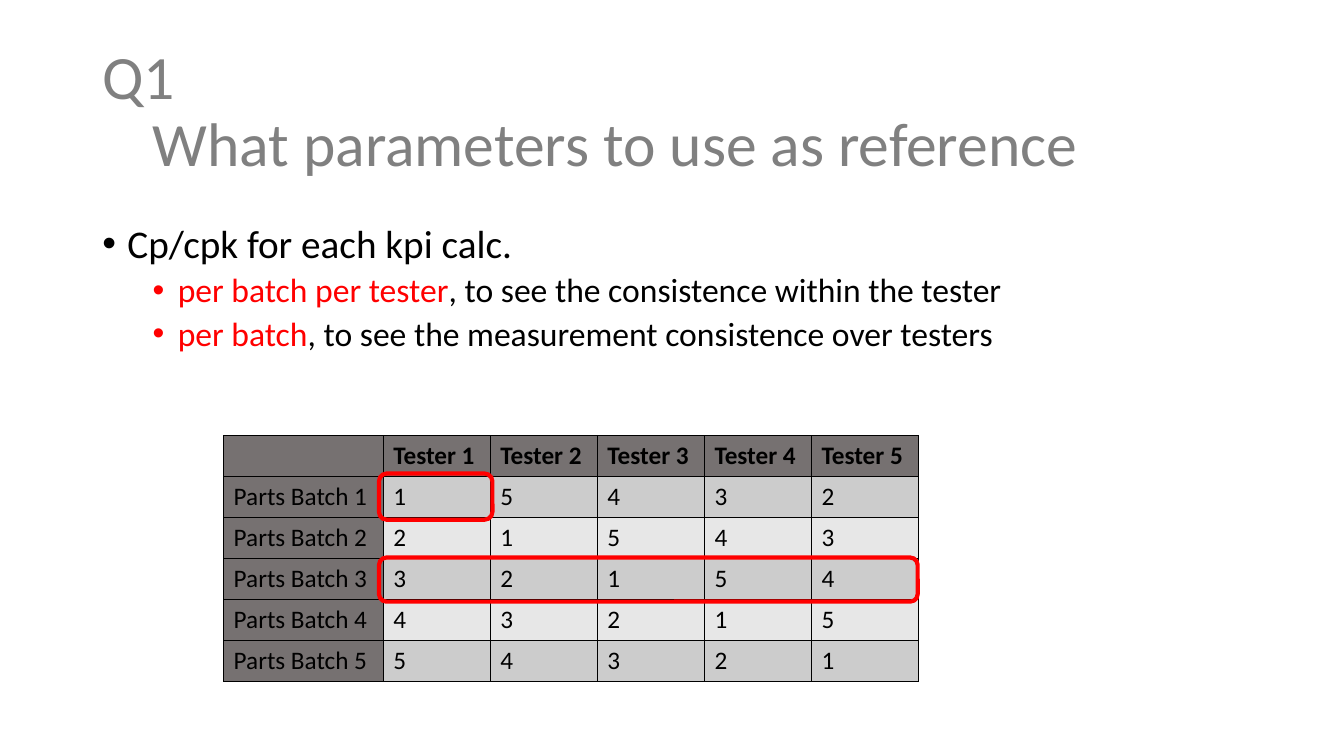
from dataclasses import dataclass

from lxml.etree import SubElement
from pptx import Presentation
from pptx.dml.color import RGBColor
from pptx.enum.shapes import MSO_SHAPE
from pptx.enum.text import MSO_ANCHOR
from pptx.oxml import parse_xml
from pptx.oxml.ns import nsdecls, qn
from pptx.slide import Slide
from pptx.table import _Cell
from pptx.text.text import TextFrame, _Paragraph, _Run
from pptx.util import Emu, Pt

FONT = "Calibri"
BLACK = "000000"
RED = "FF0000"
TITLE_GRAY = "808080"
HEADER_GRAY = "767171"
BAND_COLORS = ("E7E7E7", "CCCCCC")
TESTER_COUNT = 5
BATCH_COUNT = 5
LABEL_WIDTH = 152
TESTER_WIDTH = 102
ROW_HEIGHT = 39


@dataclass(frozen=True)
class Box:
    left: int
    top: int
    width: int
    height: int

    def emu(self) -> tuple[Emu, Emu, Emu, Emu]:
        return px(self.left), px(self.top), px(self.width), px(self.height)


@dataclass(frozen=True)
class Bullet:
    emphasis: str
    text: str
    size: int
    indent: int
    space_before: int
    level: int


TITLE_BOX = Box(88, 38, 1104, 139)
BODY_BOX = Box(88, 209, 1104, 440)
TABLE_BOX = Box(
    213,
    415,
    LABEL_WIDTH + TESTER_COUNT * TESTER_WIDTH,
    (BATCH_COUNT + 1) * ROW_HEIGHT,
)
HIGHLIGHTS = (Box(361, 451, 108, 44), Box(361, 531, 513, 42))
BULLETS = (
    Bullet("", "Cp/cpk for each kpi calc.", 28, 24, 10, 0),
    Bullet("per batch per tester", ", to see the consistence within the tester", 24, 72, 5, 1),
    Bullet("per batch", ", to see the measurement consistence over testers", 24, 72, 5, 1),
)


def px(value: int) -> Emu:
    return Emu(value * 9525)


def color(value: str) -> RGBColor:
    return RGBColor.from_string(value)


def format_run(run: _Run, size: int, hex_color: str, bold: bool = False) -> None:
    run.font.name = FONT
    run.font.size = Pt(size)
    run.font.bold = bold
    run.font.color.rgb = color(hex_color)


def add_text_frame(slide: Slide, box: Box) -> TextFrame:
    text_frame = slide.shapes.add_textbox(*box.emu()).text_frame
    text_frame.word_wrap = True
    return text_frame


def add_title(slide: Slide) -> None:
    text_frame = add_text_frame(slide, TITLE_BOX)
    text_frame.vertical_anchor = MSO_ANCHOR.MIDDLE
    paragraph = text_frame.paragraphs[0]
    paragraph.text = "Q1\v\tWhat parameters to use as reference"
    paragraph.line_spacing = 0.9
    for run in paragraph.runs:
        format_run(run, 44, TITLE_GRAY)


def write_bullet(paragraph: _Paragraph, bullet: Bullet) -> None:
    paragraph.level = bullet.level
    paragraph.line_spacing = 0.9
    paragraph.space_before = Pt(bullet.space_before)
    properties = paragraph._p.get_or_add_pPr()
    properties.set("marL", str(px(bullet.indent)))
    properties.set("indent", str(px(-24)))
    SubElement(properties, qn("a:buFont"), typeface="Arial")
    SubElement(properties, qn("a:buChar"), char="•")
    for text, hex_color in ((bullet.emphasis, RED), (bullet.text, BLACK)):
        if text:
            run = paragraph.add_run()
            run.text = text
            format_run(run, bullet.size, hex_color)


def add_body(slide: Slide) -> None:
    text_frame = add_text_frame(slide, BODY_BOX)
    for index, bullet in enumerate(BULLETS):
        paragraph = text_frame.add_paragraph() if index else text_frame.paragraphs[0]
        write_bullet(paragraph, bullet)


def add_borders(cell: _Cell) -> None:
    properties = cell._tc.get_or_add_tcPr()
    for index, side in enumerate(("lnL", "lnR", "lnT", "lnB")):
        border = parse_xml(
            f'<a:{side} {nsdecls("a")} w="{Pt(1)}"><a:solidFill>'
            f'<a:srgbClr val="{BLACK}"/></a:solidFill></a:{side}>'
        )
        properties.insert(index, border)


def cell_text(batch: int, tester: int) -> str:
    if batch and tester:
        return str((batch - tester) % TESTER_COUNT + 1)
    if batch:
        return f"Parts Batch {batch}"
    return f"Tester {tester}" if tester else ""


def add_test_table(slide: Slide) -> None:
    frame = slide.shapes.add_table(BATCH_COUNT + 1, TESTER_COUNT + 1, *TABLE_BOX.emu())
    table = frame.table
    for tester, column in enumerate(table.columns):
        column.width = px(TESTER_WIDTH if tester else LABEL_WIDTH)
    for batch, row in enumerate(table.rows):
        row.height = px(ROW_HEIGHT)
        for tester, cell in enumerate(row.cells):
            cell.text_frame.text = cell_text(batch, tester)
            for run in cell.text_frame.paragraphs[0].runs:
                format_run(run, 18, BLACK, bold=batch == 0)
            cell.fill.solid()
            fill = BAND_COLORS[batch % 2] if batch and tester else HEADER_GRAY
            cell.fill.fore_color.rgb = color(fill)
            add_borders(cell)


def add_highlight(slide: Slide, box: Box) -> None:
    shape = slide.shapes.add_shape(MSO_SHAPE.ROUNDED_RECTANGLE, *box.emu())
    shape.shadow.inherit = False
    shape.fill.background()
    shape.line.color.rgb = color(RED)
    shape.line.width = Pt(3)


def main() -> None:
    presentation = Presentation()
    presentation.slide_width = px(1280)
    presentation.slide_height = px(720)
    slide = presentation.slides.add_slide(presentation.slide_layouts[6])
    add_title(slide)
    add_body(slide)
    add_test_table(slide)
    for box in HIGHLIGHTS:
        add_highlight(slide, box)
    presentation.save("out.pptx")


if __name__ == "__main__":
    main()
